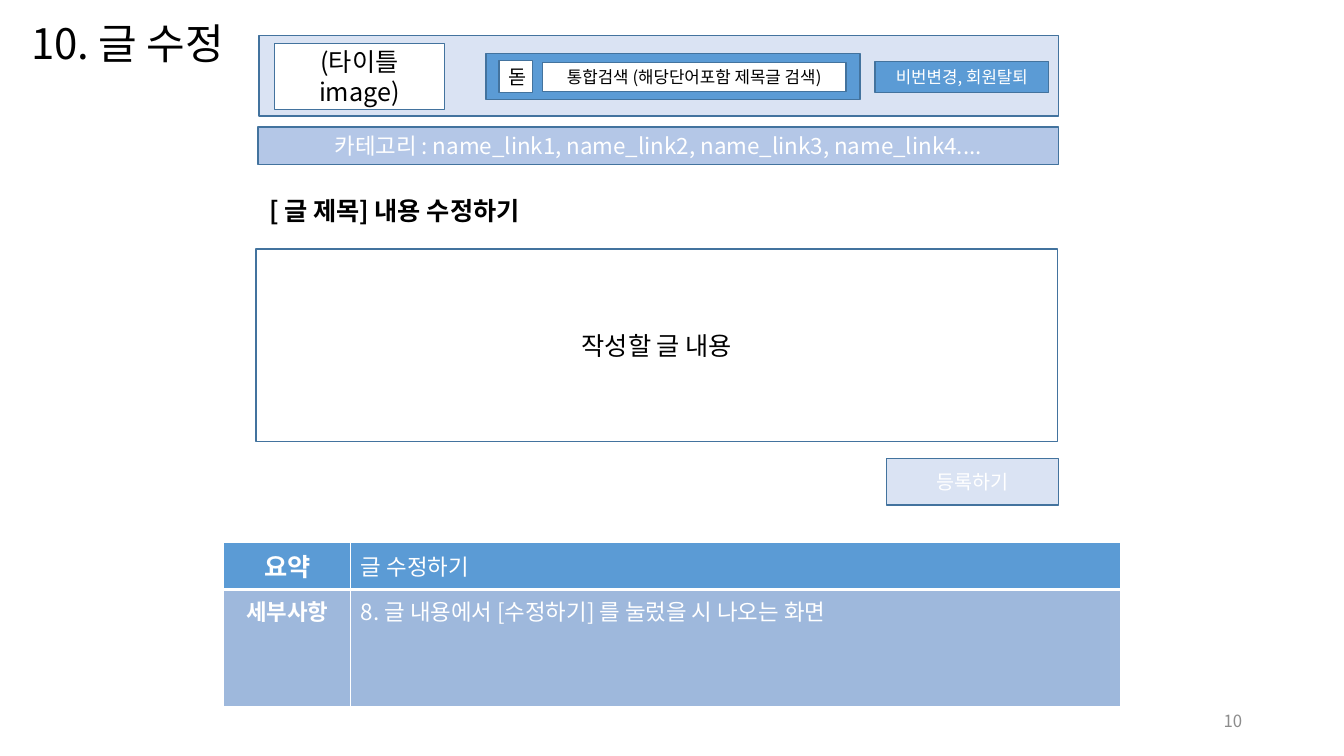
from lxml import etree
from pptx import Presentation
from pptx.dml.color import RGBColor
from pptx.enum import shapes, text
from pptx.oxml.ns import qn
from pptx.util import Inches, Pt

FONT = "Noto Sans CJK KR"
BLACK = RGBColor(0x00, 0x00, 0x00)
WHITE = RGBColor(0xFF, 0xFF, 0xFF)
GRAY = RGBColor(0x8C, 0x8C, 0x8C)
OUTLINE = RGBColor(0x43, 0x73, 0x9E)
BLUE = RGBColor(0x5B, 0x9B, 0xD5)
MID_BLUE = RGBColor(0xB4, 0xC7, 0xE7)
PALE_BLUE = RGBColor(0xDA, 0xE3, 0xF3)
ROW_BLUE = RGBColor(0x9E, 0xB8, 0xDC)

LEFT, MIDDLE, TOP = text.PP_ALIGN.LEFT, text.MSO_ANCHOR.MIDDLE, text.MSO_ANCHOR.TOP
CENTER, RIGHT = text.PP_ALIGN.CENTER, text.PP_ALIGN.RIGHT
RECT, PROCESS = shapes.MSO_SHAPE.RECTANGLE, shapes.MSO_SHAPE.FLOWCHART_PROCESS


def write(frame, words, size=18, color=BLACK, bold=False, align=CENTER, spacing=None):
    paragraph = frame.paragraphs[0]
    paragraph.alignment = align
    paragraph.line_spacing = spacing
    run = paragraph.add_run()
    run.text = words
    run.font.size = Pt(size)
    run.font.bold = bold
    run.font.color.rgb = color
    run.font.name = FONT
    etree.SubElement(run.font._element, qn("a:ea")).set("typeface", FONT)


def add_label(slide, box, words, anchor=MIDDLE, **style):
    frame = slide.shapes.add_textbox(*map(Inches, box)).text_frame
    frame.word_wrap = True
    frame.vertical_anchor = anchor
    write(frame, words, **style)


def add_panel(slide, box, fill, words="", kind=RECT, **style):
    panel = slide.shapes.add_shape(kind, *map(Inches, box))
    panel.shadow.inherit = False
    panel.fill.solid()
    panel.fill.fore_color.rgb = fill
    panel.line.color.rgb = OUTLINE
    panel.line.width = Pt(1)
    if words:
        panel.text_frame.vertical_anchor = MIDDLE
        write(panel.text_frame, words, **style)


def add_search(slide, box):
    left, top, _, _ = box
    add_panel(slide, box, BLUE)
    add_panel(slide, (left + 0.13, top + 0.07, 0.33, 0.32), WHITE, "돋", size=14)
    add_panel(slide, (left + 0.56, top + 0.09, 3.01, 0.29), WHITE,
              "통합검색 (해당단어포함 제목글 검색)", size=12)


def add_site_header(slide, box):
    left, top, width, _ = box
    add_panel(slide, box, PALE_BLUE)
    add_panel(slide, (left + 0.15, top + 0.08, 1.69, 0.66), WHITE, "(타이틀 image)")
    add_search(slide, (left + 2.25, top + 0.18, 3.71, 0.46))
    add_panel(slide, (left + 6.11, top + 0.26, 1.72, 0.31), BLUE,
              "비번변경, 회원탈퇴", size=12, color=WHITE)
    add_panel(slide, (left - 0.01, top + 0.91, width + 0.01, 0.37), MID_BLUE,
              "카테고리 : name_link1, name_link2, name_link3, name_link4....",
              size=16, color=WHITE)


def add_editor(slide, box):
    left, top, width, height = box
    add_label(slide, (left + 0.03, top - 0.58, 3.34, 0.4), "[ 글 제목] 내용 수정하기",
              anchor=TOP, bold=True, align=LEFT)
    add_panel(slide, box, WHITE, "작성할 글 내용")
    add_panel(slide, (left + width - 1.7, top + height + 0.17, 1.71, 0.46), PALE_BLUE,
              "등록하기", kind=PROCESS, size=14, color=WHITE)


def set_borders(cell, **widths):
    """Draw white cell borders; widths are points keyed by lnL, lnR, lnT, lnB."""
    properties = cell._tc.get_or_add_tcPr()
    for position, (side, width) in enumerate(widths.items()):
        line = etree.Element(qn(f"a:{side}"), w=str(Pt(width)))
        fill = etree.SubElement(line, qn("a:solidFill"))
        etree.SubElement(fill, qn("a:srgbClr"), val=str(WHITE))
        properties.insert(position, line)


def add_summary(slide, box):
    rows = [
        (0.47, BLUE, MIDDLE, 18, ("요약", "글 수정하기")),
        (1.16, ROW_BLUE, TOP, 16, ("세부사항", "8. 글 내용에서 [수정하기] 를 눌렀을 시 나오는 화면")),
    ]
    table = slide.shapes.add_table(len(rows), 2, *map(Inches, box)).table
    for column, width in zip(table.columns, (1.26, 7.63)):
        column.width = Inches(width)
    for r, (height, fill, anchor, heading_size, words) in enumerate(rows):
        table.rows[r].height = Inches(height)
        for c, entry in enumerate(words):
            cell = table.cell(r, c)
            cell.fill.solid()
            cell.fill.fore_color.rgb = fill
            cell.vertical_anchor = anchor
            is_heading = c == 0
            write(cell.text_frame, entry, size=heading_size if is_heading else 16,
                  color=WHITE, bold=is_heading, align=CENTER if is_heading else LEFT)
            set_borders(cell, lnL=1, lnR=1, lnT=1 if r == 0 else 3, lnB=3 if r == 0 else 1)


def main():
    deck = Presentation()
    deck.slide_width, deck.slide_height = Inches(13.33), Inches(7.5)
    slide = deck.slides.add_slide(deck.slide_layouts[6])
    add_label(slide, (0.21, 0.16, 2.69, 0.6), "10. 글 수정", size=30, align=LEFT, spacing=0.9)
    add_label(slide, (9.42, 6.95, 3, 0.4), "10", size=12, color=GRAY, align=RIGHT)
    add_summary(slide, (2.22, 5.38, 8.89, 1.63))
    add_site_header(slide, (2.57, 0.35, 7.93, 0.8))
    add_editor(slide, (2.54, 2.47, 7.95, 1.91))
    deck.save("out.pptx")


if __name__ == "__main__":
    main()
